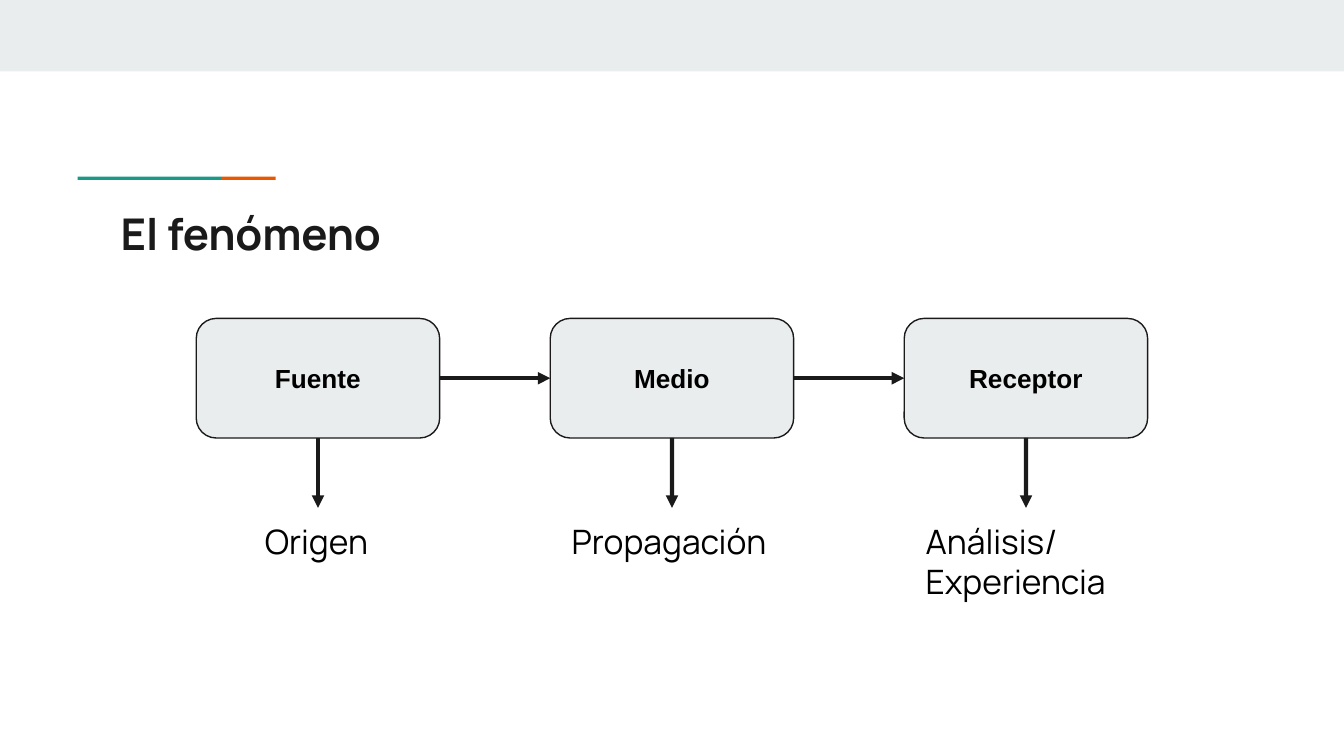
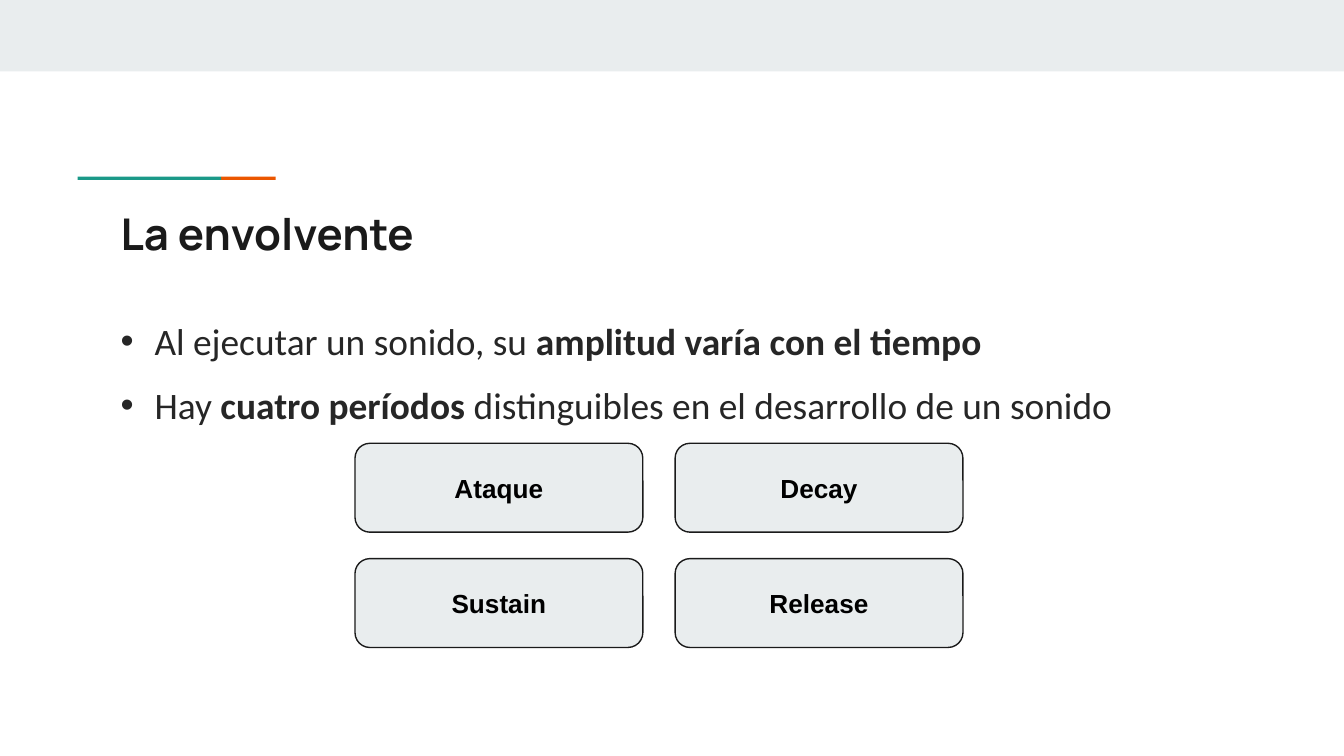
from lxml.etree import SubElement as Sub
from pptx import Presentation
from pptx.dml.color import RGBColor as Rgb
from pptx.enum.shapes import MSO_CONNECTOR as Link, MSO_SHAPE as Kind
from pptx.enum.text import MSO_ANCHOR as Anchor, MSO_AUTO_SIZE as Fit, PP_ALIGN as Align
from pptx.oxml.ns import qn
from pptx.util import Cm, Pt

HUES = {
    "band": "E9EDEE",
    "teal": "1A9988",
    "rust": "EB5600",
    "ink": "1A1A1A",
    "body": "262626",
    "black": "000000",
}


def block(slide, kind, rect, fill, line=None):
    shape = slide.shapes.add_shape(kind, *map(Cm, rect))
    shape.shadow.inherit = False
    shape.fill.solid()
    shape.fill.fore_color.rgb = Rgb.from_string(HUES[fill])
    if line:
        shape.line.color.rgb = Rgb.from_string(HUES[line])
        shape.line.width = Pt(0.75)
    else:
        shape.line.fill.background()
    return shape


def write(shape, paras, size, font, hue, align=Align.LEFT, anchor=Anchor.TOP, fit=Fit.NONE):
    frame = shape.text_frame
    frame.word_wrap = True
    frame.auto_size = fit
    frame.vertical_anchor = anchor
    frame.margin_left = frame.margin_right = Cm(0.25)
    frame.margin_top = frame.margin_bottom = Cm(0.25)
    for i, runs in enumerate(paras):
        para = frame.add_paragraph() if i else frame.paragraphs[0]
        para.alignment = align
        for text, bold in runs:
            run = para.add_run()
            run.text = text
            run.font.size = Pt(size)
            run.font.name = font
            run.font.bold = bold
            run.font.color.rgb = Rgb.from_string(HUES[hue])


prs = Presentation()
prs.slide_width, prs.slide_height = Cm(25.4), Cm(14.29)

slides = []
for title, layout in [("El fenómeno", 5), ("La envolvente", 1)]:
    slide = prs.slides.add_slide(prs.slide_layouts[layout])
    block(slide, Kind.RECTANGLE, (0, 0, 25.4, 1.35), "band")
    block(slide, Kind.RECTANGLE, (4.18, 3.34, 1.03, 0.06), "rust")
    block(slide, Kind.RECTANGLE, (1.47, 3.34, 2.71, 0.06), "teal")
    head = slide.shapes.title
    head.left, head.top, head.width, head.height = map(Cm, (2.03, 3.66, 21.36, 1.5))
    write(head, [[(title, True)]], 23.4, "Manrope", "ink", anchor=Anchor.MIDDLE)
    slides.append(slide)
chain, wave = slides

steps = [
    ("Fuente", ["Origen"], 2.51),
    ("Medio", ["Propagación"], 4.29),
    ("Receptor", ["Análisis/", "Experiencia"], 4.29),
]
nodes, links = [], []
for i, (name, lines, wide) in enumerate(steps):
    left = 3.71 + 6.69 * i
    node = block(chain, Kind.ROUNDED_RECTANGLE, (left, 6.02, 4.6, 2.26), "band", "ink")
    write(node, [[(name, True)]], 14, "Arial", "black", Align.CENTER, Anchor.MIDDLE)
    rect = (left + 2.3 - wide / 2, 9.6, wide, 0.47 + 0.8 * len(lines))
    note = chain.shapes.add_textbox(*map(Cm, rect))
    write(note, [[(line, False)] for line in lines], 18, "Manrope", "black", fit=Fit.SHAPE_TO_FIT_TEXT)
    if nodes:
        links.append((nodes[-1], 3, node, 1))
    links.append((node, 2, note, 0))
    nodes.append(node)

for start, exit, end, entry in links:
    arrow = chain.shapes.add_connector(Link.STRAIGHT, 0, 0, 0, 0)
    arrow.begin_connect(start, exit)
    arrow.end_connect(end, entry)
    arrow.line.color.rgb = Rgb.from_string(HUES["ink"])
    arrow.line.width = Pt(2.25)
    Sub(arrow.line._get_or_add_ln(), qn("a:tailEnd"), type="triangle")
    Sub(arrow._element.spPr, qn("a:effectLst"))

points = [
    [("Al ejecutar un sonido, su ", False), ("amplitud varía con el tiempo", True)],
    [("Hay ", False), ("cuatro períodos", True), (" distinguibles en el desarrollo de un sonido", False)],
]
body = wave.placeholders[1]
body.left, body.top, body.width, body.height = map(Cm, (2.03, 5.77, 21.36, 6.27))
write(body, points, 20, "Calibri", "body")
for i, para in enumerate(body.text_frame.paragraphs):
    props = para._p.get_or_add_pPr()
    props.set("marL", str(Cm(0.64)))
    props.set("indent", str(Cm(-0.64)))
    Sub(Sub(props, qn("a:buClr")), qn("a:srgbClr"), val=HUES["body"])
    Sub(props, qn("a:buChar"), char="•")
    para.space_before = Pt(10 if i else 0)

for i, name in enumerate(["Ataque", "Decay", "Sustain", "Release"]):
    row, col = divmod(i, 2)
    rect = (6.71 + 6.05 * col, 8.38 + 2.18 * row, 5.44, 1.68)
    phase = block(wave, Kind.ROUNDED_RECTANGLE, rect, "band", "ink")
    write(phase, [[(name, True)]], 14, "Arial", "black", Align.CENTER, Anchor.MIDDLE)

prs.save("out.pptx")
